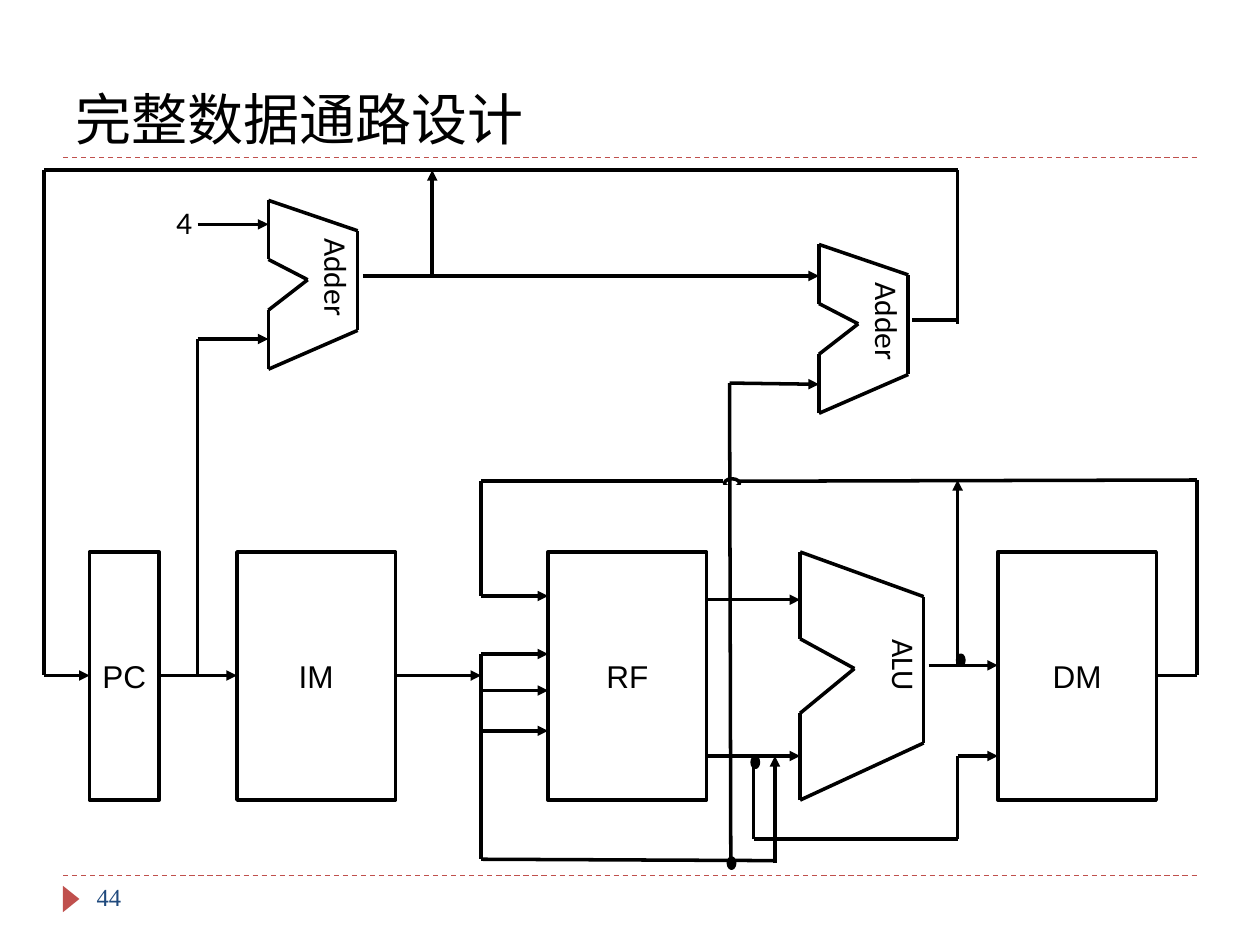
from itertools import pairwise
from lxml import etree
from pptx import Presentation
from pptx.dml.color import RGBColor
from pptx.enum import dml, shapes, text
from pptx.oxml import ns
from pptx.util import Pt

BLACK = RGBColor(0, 0, 0)
WHITE = RGBColor(255, 255, 255)
RED = RGBColor(0xC0, 0x50, 0x4D)
NAVY = RGBColor(0x1F, 0x49, 0x7D)
SHAPE = shapes.MSO_SHAPE
ANCHOR = text.MSO_ANCHOR

RULES_Y = [500.4, 90]
BLOCK_TOP, BLOCK_H = 315.4, 141.8
BLOCKS = [("PC", 51.2, 39.8), ("IM", 135.4, 90.6), ("RF", 313.2, 90.6), ("DM", 570.2, 90.6)]
UNITS = [
    ("ALU", 457.2, BLOCK_TOP, 70.6, BLOCK_H, 75),
    ("Adder", 153.4, 114.5, 51, 96.5, 69),
    ("Adder", 468, 139.7, 51, 96.5, 69),
]
UNIT_OUTLINE = [(0, 0), (1, 0.18), (1, 0.77), (0, 1), (0, 0.65), (0.44, 0.47), (0, 0.35), (0, 0)]

MID, BUS_X, RF_X, DM_X = 386, 275, 313.2, 570.2
ALU_X, ADDER_X, RETURN_X, TOP_Y = 457.2, 468, 547.2, 97.2
RF_OUT, ALU_OUT, STORE_Y = 403.8, 380.2, 432
ARROWS = [
    [(91, MID), (135.4, MID)],
    [(113, MID), (113, 193.7), (153.4, 193.7)],
    [(207.4, 157.7), (ADDER_X, 157.7)],
    [(113, 128.2), (153.4, 128.2)],
    [(RETURN_X, 185), (RETURN_X, TOP_Y), (25.2, TOP_Y), (25.2, MID), (51.2, MID)],
    [(247, 157.7), (247, TOP_Y)],
    [(RF_OUT, 342.7), (ALU_X, 342.7)],
    [(RF_OUT, STORE_Y), (ALU_X, STORE_Y)],
    [(530.6, ALU_OUT), (DM_X, ALU_OUT)],
    [(226, MID), (BUS_X, MID)],
    [(413.3, 275), (BUS_X, 275), (BUS_X, 340.6), (RF_X, 340.6)],
    [(417.6, 491), (416.9, 218.9), (ADDER_X, 219.6)],
    [(442.8, 493.2), (442.8, STORE_Y)],
    [(430.6, STORE_Y), (430.6, 479.5), (RETURN_X, 479.5), (RETURN_X, STORE_Y), (DM_X, STORE_Y)],
    [(RETURN_X, ALU_OUT), (RETURN_X, 274.3)],
] + [[(BUS_X, y), (RF_X, y)] for y in (373.7, 394.6, 417.6)]
PLAIN_WIRES = [
    [(BUS_X, 373.7), (BUS_X, 491), (442.8, 491.8)],
    [(660.8, MID), (684, MID), (684, 274.3)],
    [(RETURN_X, 182.9), (521.3, 182.9)],
]
DOTS = [(416.2, 490.3), (RETURN_X, 374.4), (429.8, 432.7)]


def add_line(parent, start, end, color=BLACK, width=2, arrow=False, dash=False):
    points = [Pt(v) for v in (*start, *end)]
    c = parent.shapes.add_connector(shapes.MSO_CONNECTOR.STRAIGHT, *points)
    c.line.color.rgb = color
    c.line.width = Pt(width)
    if dash:
        c.line.dash_style = dml.MSO_LINE.DASH
    if arrow:
        etree.SubElement(c.line._get_or_add_ln(), ns.qn("a:tailEnd"), type="triangle")
    etree.SubElement(c._element.spPr, ns.qn("a:effectLst"))


def add_path(parent, points, arrow=False):
    last = len(points) - 2
    for i, (start, end) in enumerate(pairwise(points)):
        add_line(parent, start, end, arrow=arrow and i == last)


def add_shape(parent, kind, box, fill, line=BLACK):
    sp = parent.shapes.add_shape(kind, *[Pt(v) for v in box])
    sp.shadow.inherit = False
    sp.fill.solid()
    sp.fill.fore_color.rgb = fill
    if line is None:
        sp.line.fill.background()
    else:
        sp.line.color.rgb = line
        sp.line.width = Pt(2)
    return sp


def write(sp, content, size=18, font="Calibri", color=BLACK, align=text.PP_ALIGN.LEFT,
          anchor=ANCHOR.TOP, wrap=True, vertical=False):
    tf = sp.text_frame
    tf.word_wrap = wrap
    tf.vertical_anchor = anchor
    if vertical:
        tf._txBody.bodyPr.set("vert", "vert")
    p = tf.paragraphs[0]
    p.alignment = align
    r = p.add_run()
    r.text = content
    r.font.size = Pt(size)
    r.font.name = font
    r.font.color.rgb = color


def add_text(parent, box, content, **style):
    write(parent.shapes.add_textbox(*[Pt(v) for v in box]), content, **style)


def add_unit(s, label, x, y, w, h, label_h):
    group = s.shapes.add_group_shape()
    add_path(group, [(x + w * fx, y + h * fy) for fx, fy in UNIT_OUTLINE])
    box = (x + 0.34 * w, y + 0.455 * h - label_h / 2, 0.71 * w, label_h)
    add_text(group, box, label, align=text.PP_ALIGN.CENTER, vertical=True)


def main():
    prs = Presentation()
    prs.slide_width, prs.slide_height = Pt(720), Pt(540)
    s = prs.slides.add_slide(prs.slide_layouts[6])

    for y in RULES_Y:
        add_line(s, (36, y), (684, y), color=RED, width=0.75, dash=True)
    marker = add_shape(s, SHAPE.ISOSCELES_TRIANGLE, (33.1, 509, 15.1, 9.4), RED, line=None)
    marker.rotation = 90
    add_line(s, (421.2, 275), (684, 274.3))
    add_shape(s, SHAPE.OVAL, (414, 273.6, 8.6, 5), WHITE)
    add_shape(s, SHAPE.RECTANGLE, (410.4, 277.2, 18, 4.3), WHITE, line=None)

    add_text(s, (36, 12.2, 648, 77.8), "完整数据通路设计", size=32, anchor=ANCHOR.BOTTOM)
    add_text(s, (48.2, 500.4, 156, 28.8), "44", size=14, font="Times New Roman", color=NAVY)
    add_text(s, (93.6, 112.3, 23.8, 28.8), "4", wrap=False)

    for label, x, w in BLOCKS:
        sp = add_shape(s, SHAPE.RECTANGLE, (x, BLOCK_TOP, w, BLOCK_H), WHITE)
        write(sp, label, font="Arial", align=text.PP_ALIGN.CENTER, anchor=ANCHOR.MIDDLE)
    for unit in UNITS:
        add_unit(s, *unit)
    for points in ARROWS:
        add_path(s, points, arrow=True)
    for points in PLAIN_WIRES:
        add_path(s, points)
    for x, y in DOTS:
        add_shape(s, SHAPE.OVAL, (x, y, 3.6, 5.8), BLACK)

    prs.save("out.pptx")


if __name__ == "__main__":
    main()
